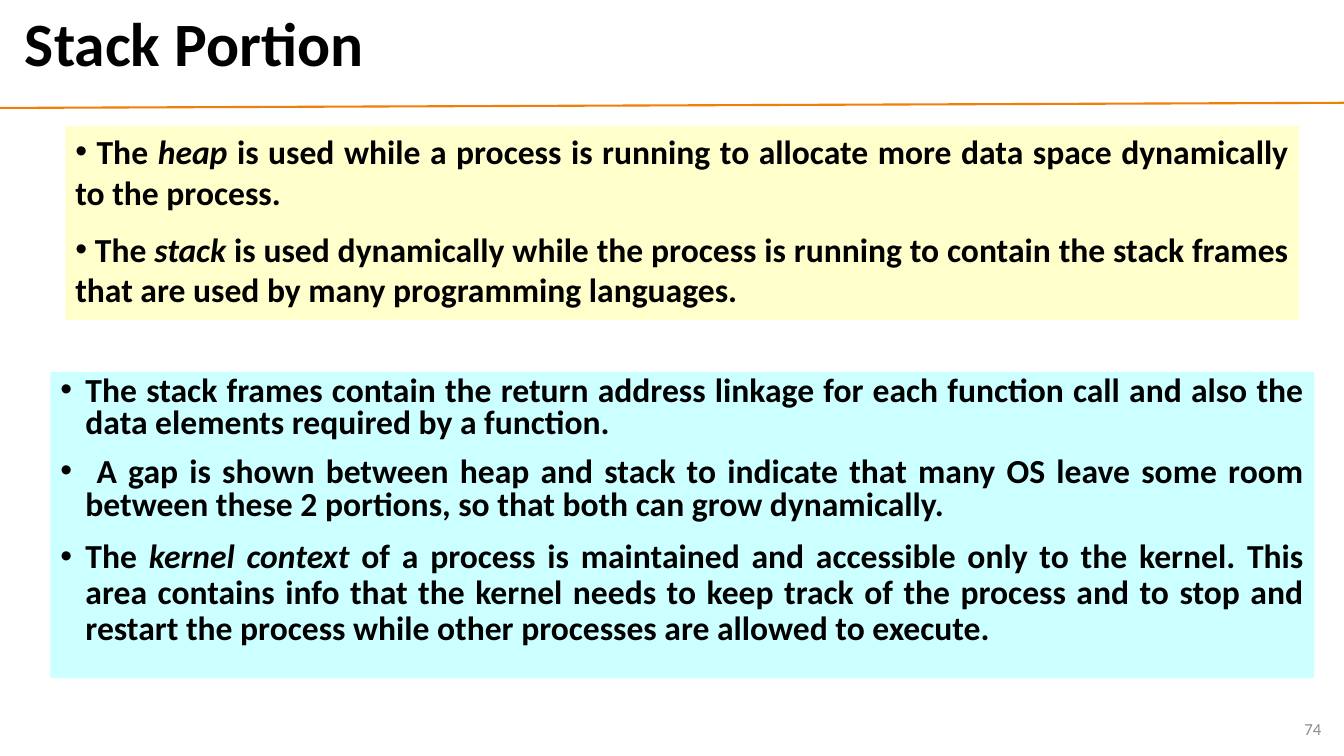
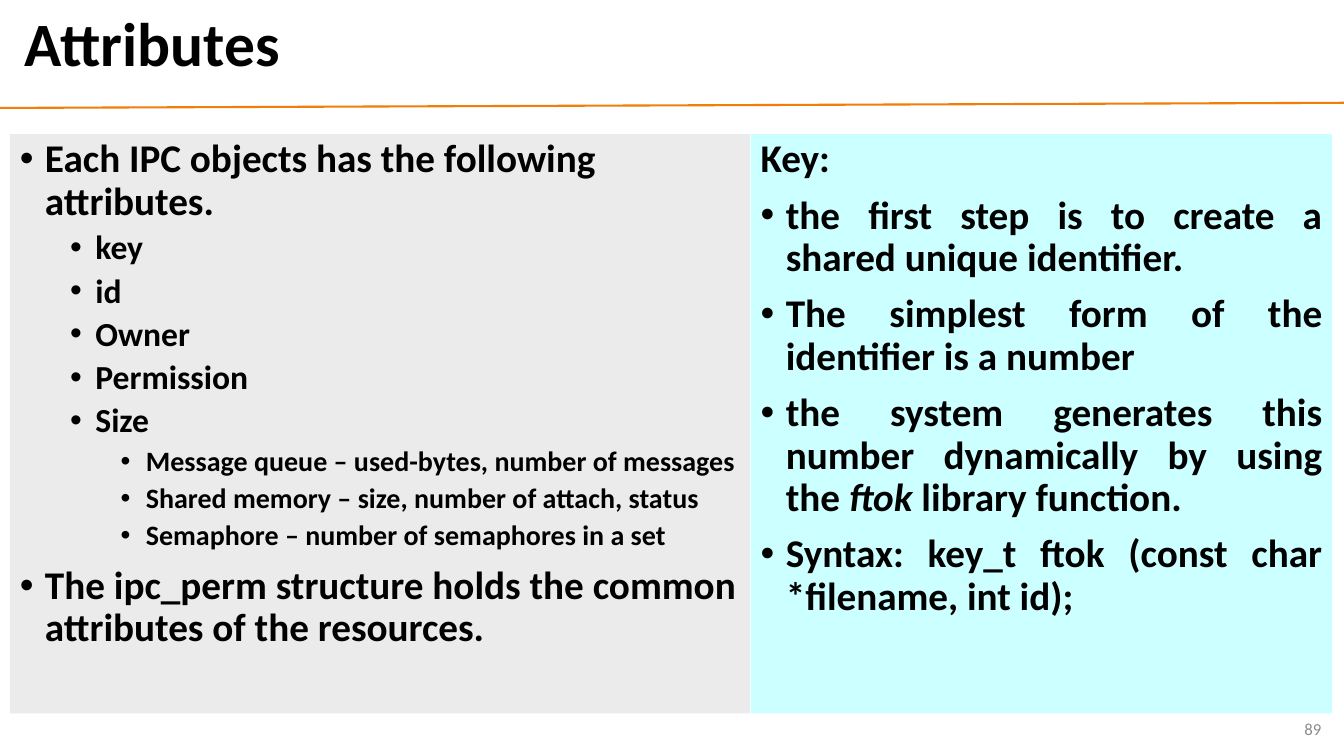
import pptx
import pptx.dml.color
import pptx.enum.shapes
import pptx.enum.text
import pptx.oxml
import pptx.oxml.ns
import pptx.util
from pptx.util import Cm

COLOURS = {
    "text": "000000",
    "number": "8C8C8C",
    "rule": "F07F09",
    "yellow": "FFFFCC",
    "cyan": "CCFFFF",
    "grey": "EBEBEB",
}
FONT = "Calibri"
SLIDE_WIDTH, SLIDE_HEIGHT = Cm(33.87), Cm(19.05)
INDENT = 0.635  # centimetres between a bullet and its text
ALIGN = pptx.enum.text.PP_ALIGN
MIDDLE = pptx.enum.text.MSO_ANCHOR.MIDDLE


def colour(name):
    return pptx.dml.color.RGBColor.from_string(COLOURS[name])


def add_bullet(paragraph, margin, hanging):
    properties = paragraph._p.get_or_add_pPr()
    properties.set("marL", str(Cm(margin)))
    properties.set("indent", str(-Cm(hanging)))
    for tag, name, value in (("a:buFont", "typeface", "Arial"), ("a:buChar", "char", "•")):
        element = pptx.oxml.parse_xml(f"<{tag} {pptx.oxml.ns.nsdecls('a')}/>")
        element.set(name, value)
        properties.append(element)


def write_paragraph(frame, text, size=24, bold=True, color="text", align=ALIGN.LEFT,
                    level=0, bullet=True, hanging=INDENT, line_spacing=0.9, before=0):
    """Add a paragraph; the parts of the text between bars are italic."""
    first = not frame.paragraphs[0].runs
    paragraph = frame.paragraphs[0] if first else frame.add_paragraph()
    paragraph.alignment = align
    paragraph.level = level
    paragraph.line_spacing = line_spacing
    paragraph.space_before = pptx.util.Pt(0 if first else before)
    if bullet:
        add_bullet(paragraph, 2 * INDENT * level + hanging, hanging)
    for index, part in enumerate(text.split("|")):
        run = paragraph.add_run()
        run.text = part
        run.font.name = FONT
        run.font.size = pptx.util.Pt(size)
        run.font.bold = bold
        run.font.italic = index % 2 == 1
        run.font.color.rgb = colour(color)


def add_label(slide, box, text, **text_format):
    frame = slide.shapes.add_textbox(*map(Cm, box)).text_frame
    frame.word_wrap = True
    frame.vertical_anchor = MIDDLE
    write_paragraph(frame, text, bullet=False, **text_format)


def add_rule(slide):
    rule = slide.shapes.add_connector(
        pptx.enum.shapes.MSO_CONNECTOR.STRAIGHT, 0, Cm(2.72), SLIDE_WIDTH, Cm(2.59))
    rule.line.color.rgb = colour("rule")
    rule.line.width = pptx.util.Pt(1.5)
    rule._element.spPr.append(
        pptx.oxml.parse_xml(f"<a:effectLst {pptx.oxml.ns.nsdecls('a')}/>"))


def add_panel(slide, box, fill, paragraphs, **shared_format):
    """Draw a filled box; each paragraph is a text and its own format."""
    panel = slide.shapes.add_shape(
        pptx.enum.shapes.MSO_SHAPE.RECTANGLE, *map(Cm, box))
    panel.shadow.inherit = False
    panel.fill.solid()
    panel.fill.fore_color.rgb = colour(fill)
    panel.line.fill.background()
    frame = panel.text_frame
    frame.word_wrap = True
    frame.vertical_anchor = pptx.enum.text.MSO_ANCHOR.TOP
    for text, own_format in paragraphs:
        write_paragraph(frame, text, **{**shared_format, **own_format})


def add_titled_slide(presentation, title, number):
    slide = presentation.slides.add_slide(presentation.slide_layouts[6])
    add_rule(slide)
    add_label(slide, (0.38, 0.13, 32.74, 2.11), title, size=44)
    add_label(slide, (25.93, 17.86, 7.62, 1.02), number, size=12, bold=False,
              color="number", align=ALIGN.RIGHT, line_spacing=1)
    return slide


def build_stack_slide(presentation):
    slide = add_titled_slide(presentation, "Stack Portion", "74")
    add_panel(slide, (1.65, 3.18, 31.09, 4.88), "yellow", [
        (" The |heap| is used while a process is running to allocate more data space "
         "dynamically to the process.", {}),
        (" The |stack| is used dynamically while the process is running to contain the "
         "stack frames that are used by many programming languages.", {}),
    ], align=ALIGN.JUSTIFY, hanging=0, line_spacing=1, before=12)
    add_panel(slide, (1.27, 9.37, 31.85, 7.72), "cyan", [
        ("The stack frames contain the return address linkage for each function call "
         "and also the data elements required by a function.", {}),
        (" A gap is shown between heap and stack to indicate that many OS leave some "
         "room between these 2 portions, so that both can grow dynamically.", {}),
        ("The |kernel context| of a process is maintained and accessible only to the "
         "kernel. This area contains info that the kernel needs to keep track of the "
         "process and to stop and restart the process while other processes are "
         "allowed to execute.", {"line_spacing": 0.9}),
    ], align=ALIGN.JUSTIFY, line_spacing=0.8, before=12)


def build_attributes_slide(presentation):
    slide = add_titled_slide(presentation, "Attributes", "89")
    top, height = 3.38, 14.6
    main = {"size": 28, "before": 10}
    attribute = {"level": 1, "size": 24, "before": 5}
    detail = {"level": 2, "size": 20, "before": 5}
    add_panel(slide, (0.25, top, 18.65, height), "grey", [
        ("Each IPC objects has the following attributes.", main),
        ("key", attribute),
        ("id", attribute),
        ("Owner", attribute),
        ("Permission", attribute),
        ("Size", attribute),
        ("Message queue – used-bytes, number of messages", detail),
        ("Shared memory – size, number of attach, status", detail),
        ("Semaphore – number of semaphores in a set", detail),
        ("The ipc_perm structure holds the common attributes of the resources.", main),
    ])
    add_panel(slide, (18.92, top, 14.65, height), "cyan", [
        ("Key:", {"bullet": False}),
        ("the first step is to create a shared unique identifier.", {}),
        ("The simplest form of the identifier is a number", {}),
        ("the system generates this number dynamically by using the |ftok| library "
         "function.", {}),
        ("Syntax: key_t ftok (const char *filename, int id);", {}),
    ], align=ALIGN.JUSTIFY, **main)


def main():
    presentation = pptx.Presentation()
    presentation.slide_width = SLIDE_WIDTH
    presentation.slide_height = SLIDE_HEIGHT
    build_stack_slide(presentation)
    build_attributes_slide(presentation)
    presentation.save("out.pptx")


if __name__ == "__main__":
    main()
